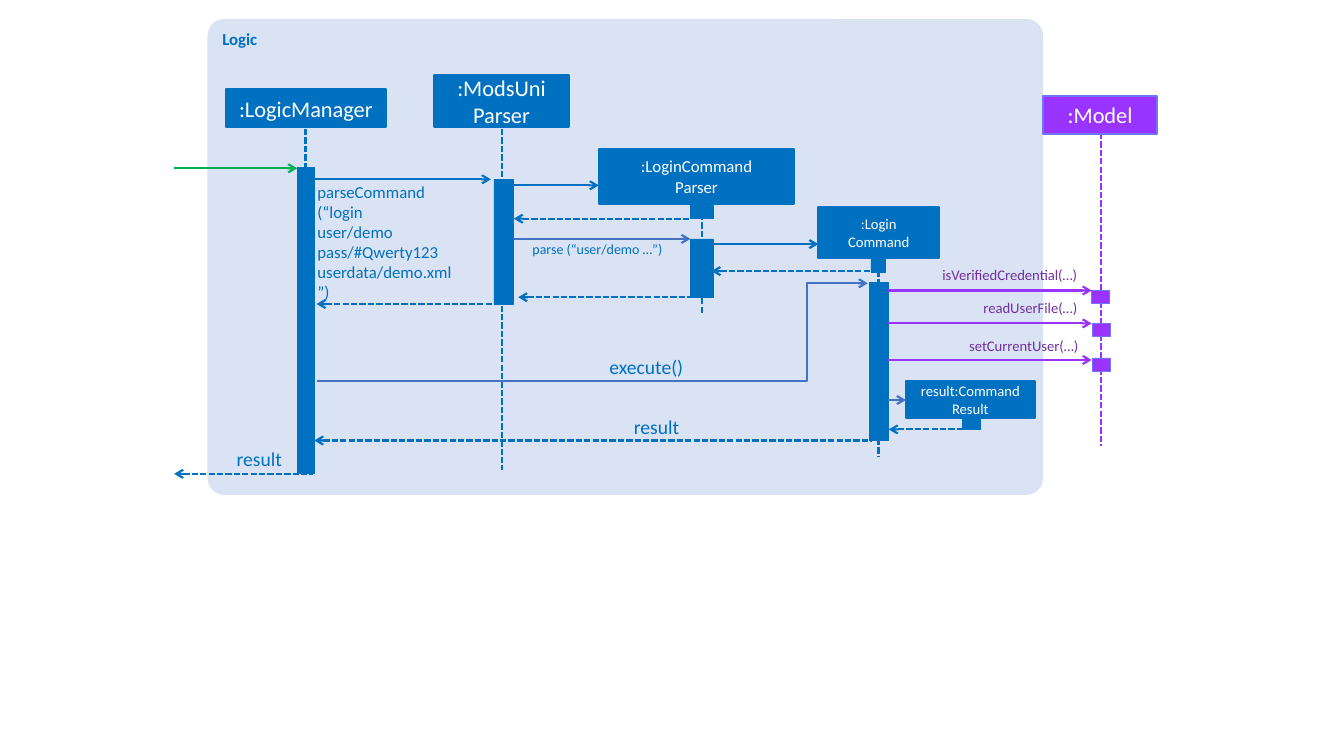
from dataclasses import dataclass

from lxml.etree import SubElement
from pptx import Presentation
from pptx.dml.color import RGBColor as Rgb
from pptx.enum.dml import MSO_LINE as Dash
from pptx.enum.shapes import MSO_CONNECTOR as Link, MSO_SHAPE as Form
from pptx.enum.text import MSO_ANCHOR as Anchor, MSO_AUTO_SIZE as Fit, PP_ALIGN as Align
from pptx.oxml.ns import qn
from pptx.util import Cm, Pt


@dataclass(frozen=True)
class Theme:
    font: str = "Calibri"
    blue: str = "0070C0"
    indigo: str = "4472C4"
    green: str = "00B050"
    violet: str = "9933FF"
    edge: str = "6F75F7"
    plum: str = "7030A0"
    panel: str = "DAE3F3"
    white: str = "FFFFFF"
    large: float = 16
    medium: float = 14
    normal: float = 12
    small: float = 10.5
    tiny: float = 10
    stroke: float = 1.5
    thin: float = 0.5


T = Theme()

PANEL = ("Logic", 5.23, 0.48, 21.06, 11.99)
HEADS = [
    (":LogicManager", 5.69, 2.24, 4.04, 0.97, T.large, T.blue, T.blue),
    (":ModsUni\vParser", 10.95, 1.9, 3.38, 1.3, T.large, T.blue, T.blue),
    (":LoginCommand\nParser", 15.09, 3.76, 4.93, 1.37, T.normal, T.blue, T.blue),
    (":Login\nCommand", 20.62, 5.23, 3.05, 1.27, T.small, T.blue, T.blue),
    ("result:Command Result", 22.83, 9.6, 3.25, 0.94, T.small, T.blue, T.blue),
    (":Model", 26.29, 2.41, 2.87, 0.97, T.large, T.violet, T.edge),
]
LIVES = [
    (7.7, 3.25, 10.46, T.blue),
    (12.65, 3.25, 11.84, T.blue),
    (17.68, 5.18, 7.92, T.blue),
    (22.14, 6.4, 11.51, T.blue),
    (27.74, 3.35, 11.23, T.violet),
]
BARS = [
    (7.49, 4.22, 0.43, 7.72, T.blue, T.blue),
    (12.45, 4.52, 0.48, 3.15, T.blue, T.blue),
    (17.4, 5.18, 0.58, 0.33, T.blue, T.blue),
    (17.4, 6.02, 0.58, 1.47, T.blue, T.blue),
    (21.95, 6.4, 0.36, 0.46, T.blue, T.blue),
    (21.92, 7.11, 0.46, 3.99, T.blue, T.blue),
    (24.26, 10.57, 0.46, 0.25, T.blue, T.blue),
    (27.51, 7.32, 0.46, 0.33, T.violet, T.edge),
    (27.53, 8.15, 0.46, 0.33, T.violet, T.edge),
    (27.53, 9.02, 0.46, 0.33, T.violet, T.edge),
]
CALLS = [
    (4.39, 7.49, 4.24, T.green),
    (7.92, 12.37, 4.52, T.blue),
    (12.8, 15.09, 4.67, T.blue),
    (12.95, 17.4, 6.02, T.indigo),
    (17.81, 20.62, 6.15, T.blue),
    (22.38, 22.83, 10.08, T.indigo),
    (22.38, 27.51, 7.32, T.violet),
    (22.38, 27.51, 8.15, T.violet),
    (22.38, 27.51, 9.07, T.violet),
]
REPLIES = [
    (12.95, 17.4, 5.51),
    (17.93, 22.07, 6.83),
    (13.06, 17.68, 7.49),
    (7.98, 12.4, 7.66),
    (7.92, 21.97, 11.1),
    (22.4, 24.26, 10.82),
    (4.39, 7.9, 11.94),
]
EXECUTE = (7.98, 9.6, 21.87, 7.14)
BEND = 0.89
LABELS = [
    ("parseCommand\n(“login\vuser/demo\vpass/#Qwerty123\vuserdata/demo.xml\n”)",
     8, 4.57, 3.96, 3.07, T.normal, T.blue, Align.LEFT),
    ("parse (“user/demo …”)", 12.73, 6.05, 3.96, 0.43, T.tiny, T.blue, Align.RIGHT),
    ("execute()", 14.83, 8.94, 2.39, 0.61, T.medium, T.blue, Align.RIGHT),
    ("result", 15.39, 10.46, 1.73, 0.61, T.medium, T.blue, Align.RIGHT),
    ("result", 5, 11.25, 2.11, 0.61, T.medium, T.blue, Align.RIGHT),
    ("isVerifiedCredential(…)", 23.19, 6.71, 3.96, 0.46, T.small, T.plum, Align.RIGHT),
    ("readUserFile(…)", 23.19, 7.54, 3.96, 0.46, T.small, T.plum, Align.RIGHT),
    ("setCurrentUser(…)", 23.22, 8.48, 3.96, 0.46, T.small, T.plum, Align.RIGHT),
]


def write(frame, text, size, color, align, bold=False):
    frame.word_wrap = True
    frame.text = text
    for para in frame.paragraphs:
        para.alignment = align
        font = para.font
        font.name, font.size, font.bold = T.font, Pt(size), bold
        font.color.rgb = Rgb.from_string(color)


def block(slide, form, box, fill, edge=None, width=T.stroke):
    shape = slide.shapes.add_shape(form, *map(Cm, box))
    shape.shadow.inherit = False
    shape.fill.solid()
    shape.fill.fore_color.rgb = Rgb.from_string(fill)
    if edge:
        shape.line.color.rgb = Rgb.from_string(edge)
        shape.line.width = Pt(width)
    else:
        shape.line.fill.background()
    return shape


def link(slide, ends, color, dashed=False, tip=None, kind=Link.STRAIGHT):
    line = slide.shapes.add_connector(kind, *map(Cm, ends))
    line.line.color.rgb = Rgb.from_string(color)
    line.line.width = Pt(T.stroke)
    if dashed:
        line.line.dash_style = Dash.SQUARE_DOT
    props = line._element.spPr
    if tip:
        SubElement(props.find(qn("a:ln")), qn(tip), type="arrow")
    SubElement(props, qn("a:effectLst"))
    return line


def main():
    deck = Presentation()
    deck.slide_width, deck.slide_height = Cm(33.87), Cm(19.05)
    slide = deck.slides.add_slide(deck.slide_layouts[6])

    name, *box = PANEL
    panel = block(slide, Form.ROUNDED_RECTANGLE, box, T.panel)
    panel.adjustments[0] = 0.035
    panel.text_frame.vertical_anchor = Anchor.TOP
    write(panel.text_frame, name, T.normal, T.blue, Align.LEFT, True)

    for x, top, end, color in LIVES:
        link(slide, (x, top, x, end), color, True)
    for text, *box, size, fill, edge in HEADS:
        head = block(slide, Form.RECTANGLE, box, fill, edge)
        head.text_frame.vertical_anchor = Anchor.MIDDLE
        write(head.text_frame, text, size, T.white, Align.CENTER)
    for *box, fill, edge in BARS:
        block(slide, Form.RECTANGLE, box, fill, edge, T.thin)

    for left, right, y, color in CALLS:
        link(slide, (left, y, right, y), color, tip="a:tailEnd")
    for left, right, y in REPLIES:
        link(slide, (left, y, right, y), T.blue, True, "a:headEnd")
    bent = link(slide, EXECUTE, T.indigo, tip="a:tailEnd", kind=Link.ELBOW)
    guides = bent._element.spPr.find(qn("a:prstGeom")).get_or_add_avLst()
    SubElement(guides, qn("a:gd"), name="adj1", fmla=f"val {round(BEND * 100000)}")

    for text, *box, size, color, align in LABELS:
        frame = slide.shapes.add_textbox(*map(Cm, box)).text_frame
        frame.margin_left = frame.margin_right = frame.margin_top = frame.margin_bottom = 0
        write(frame, text, size, color, align)
        frame.auto_size = Fit.SHAPE_TO_FIT_TEXT

    deck.save("out.pptx")


if __name__ == "__main__":
    main()
